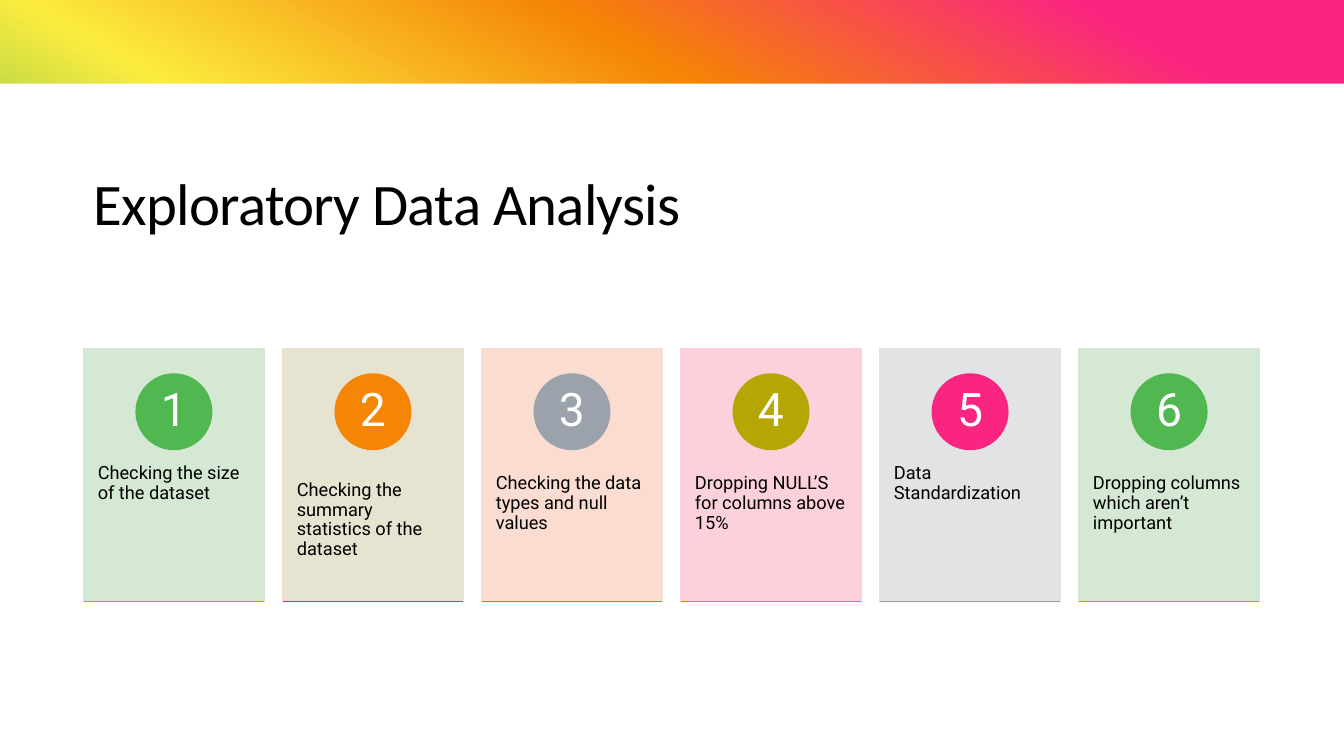
from lxml import etree
from pptx import Presentation
from pptx.dml.color import RGBColor
from pptx.enum.shapes import MSO_CONNECTOR, MSO_SHAPE
from pptx.enum.text import MSO_ANCHOR, PP_ALIGN
from pptx.oxml.ns import qn
from pptx.util import Inches, Pt

RECT, OVAL, STRAIGHT = MSO_SHAPE.RECTANGLE, MSO_SHAPE.OVAL, MSO_CONNECTOR.STRAIGHT
TOP, MIDDLE = MSO_ANCHOR.TOP, MSO_ANCHOR.MIDDLE
LEFT, CENTER = PP_ALIGN.LEFT, PP_ALIGN.CENTER

WHITE = RGBColor(0xFF, 0xFF, 0xFF)
BLACK = RGBColor(0x00, 0x00, 0x00)
PINK = RGBColor(0xFA, 0x24, 0x81)
ORANGE = RGBColor(0xF5, 0x85, 0x05)
YELLOW = RGBColor(0xFC, 0xEC, 0x3F)
GREEN = RGBColor(0x51, 0xB8, 0x51)
TEAL = RGBColor(0x42, 0xB3, 0xBD)
GRAY = RGBColor(0x9C, 0xA2, 0xAB)
OLIVE = RGBColor(0xB5, 0xA6, 0x03)
PALE_GREEN = RGBColor(0xD0, 0xE6, 0xD0)
PALE_OLIVE = RGBColor(0xE5, 0xE1, 0xCC)
PALE_ORANGE = RGBColor(0xFB, 0xD9, 0xCC)
PALE_PINK = RGBColor(0xFD, 0xCD, 0xD8)
PALE_GRAY = RGBColor(0xDE, 0xE0, 0xE2)

SLIDE_W, SLIDE_H = 13.33, 7.5
RAINBOW = [(10, PINK), (30, ORANGE), (50, YELLOW), (70, GREEN), (90, TEAL)]
# Step text, card colour, badge colour, underline colour
STEPS = [
    ("Checking the size of the dataset", PALE_GREEN, GREEN, OLIVE),
    ("Checking the summary statistics of the dataset", PALE_OLIVE, ORANGE, PINK),
    ("Checking the data types and null values", PALE_ORANGE, GRAY, GREEN),
    ("Dropping NULL’S for columns above 15%", PALE_PINK, OLIVE, ORANGE),
    ("Data Standardization", PALE_GRAY, PINK, GRAY),
    ("Dropping columns which aren’t important", PALE_GREEN, GREEN, OLIVE),
]


def add_block(slide, kind, box, color, outlined=False):
    block = slide.shapes.add_shape(kind, *map(Inches, box))
    block.shadow.inherit = False
    block.fill.solid()
    block.fill.fore_color.rgb = color
    if outlined:
        block.line.color.rgb = color
        block.line.width = Pt(1)
    else:
        block.line.fill.background()
    return block


def add_text(slide, box, text, size, font, color, spacing, insets,
             align=LEFT, anchor=TOP):
    frame = slide.shapes.add_textbox(*map(Inches, box)).text_frame
    frame.word_wrap = True
    frame.vertical_anchor = anchor
    frame.margin_left = frame.margin_right = Inches(insets[0])
    frame.margin_top = frame.margin_bottom = Inches(insets[1])
    paragraph = frame.paragraphs[0]
    paragraph.alignment = align
    paragraph.line_spacing = spacing
    run = paragraph.add_run()
    run.text = text
    run.font.size = Pt(size)
    run.font.name = font
    run.font.color.rgb = color
    return run


def add_backdrop(slide, box, band_height):
    left, top, width, height = box
    # Rainbow over the whole box, running from top right to bottom left
    rainbow = add_block(slide, RECT, box, WHITE)
    rainbow.fill.gradient()
    rainbow.fill.gradient_angle = 240
    stops = rainbow.element.spPr.find(".//" + qn("a:gsLst"))
    for stop in list(stops):
        stops.remove(stop)
    for percent, color in RAINBOW:
        stop = etree.SubElement(stops, qn("a:gs"), pos=str(percent * 1000))
        etree.SubElement(stop, qn("a:srgbClr"), val=str(color))
    # White page leaves only the top band visible
    add_block(slide, RECT, (left, top + band_height, width, height - band_height), WHITE)


def add_title(slide, box):
    run = add_text(slide, box, "Exploratory Data Analysis", 42, "Calibri", BLACK,
                   0.95, (0.1, 0.05))
    run.font._element.set("spc", "-50")


def add_step_card(slide, box, number, step):
    left, top, width, height = box
    text, card_color, badge_color, underline_color = step

    # Slightly transparent card
    card = add_block(slide, RECT, box, card_color, outlined=True)
    for color in card.element.spPr.iter(qn("a:srgbClr")):
        etree.SubElement(color, qn("a:alpha"), val="90000")

    # Step description
    add_text(slide, (left, top + 0.95, width, height - 1), text, 13, "Roboto",
             BLACK, 0.9, (0.14, 0.36))

    # Numbered badge
    badge_size, inset = 0.75, 0.11
    badge_left, badge_top = left + (width - badge_size) / 2, top + 0.25
    add_block(slide, OVAL, (badge_left, badge_top, badge_size, badge_size),
              badge_color, outlined=True)
    number_size = badge_size - 2 * inset
    add_text(slide, (badge_left + inset, badge_top + inset, number_size, number_size),
             str(number), 33, "Roboto", WHITE, 0.9, (0.06, 0.01), CENTER, MIDDLE)

    # Underline on the bottom edge
    bottom = Inches(top + height)
    underline = slide.shapes.add_connector(
        STRAIGHT, Inches(left), bottom, Inches(left + width), bottom)
    underline.line.color.rgb = underline_color
    underline.line.width = Pt(1)
    etree.SubElement(underline.element.spPr, qn("a:effectLst"))


def add_steps(slide, box, card_width):
    left, top, width, height = box
    pitch = (width - card_width) / (len(STEPS) - 1)
    for index, step in enumerate(STEPS):
        add_step_card(slide, (left + index * pitch, top, card_width, height),
                      index + 1, step)


prs = Presentation()
prs.slide_width, prs.slide_height = Inches(SLIDE_W), Inches(SLIDE_H)
slide = prs.slides.add_slide(prs.slide_layouts[6])
add_backdrop(slide, (0, 0, SLIDE_W, SLIDE_H), band_height=0.83)
add_title(slide, (0.83, 1.66, 11.67, 1.47))
add_steps(slide, (0.83, 3.46, 11.66, 2.51), card_width=1.79)
prs.save("out.pptx")
